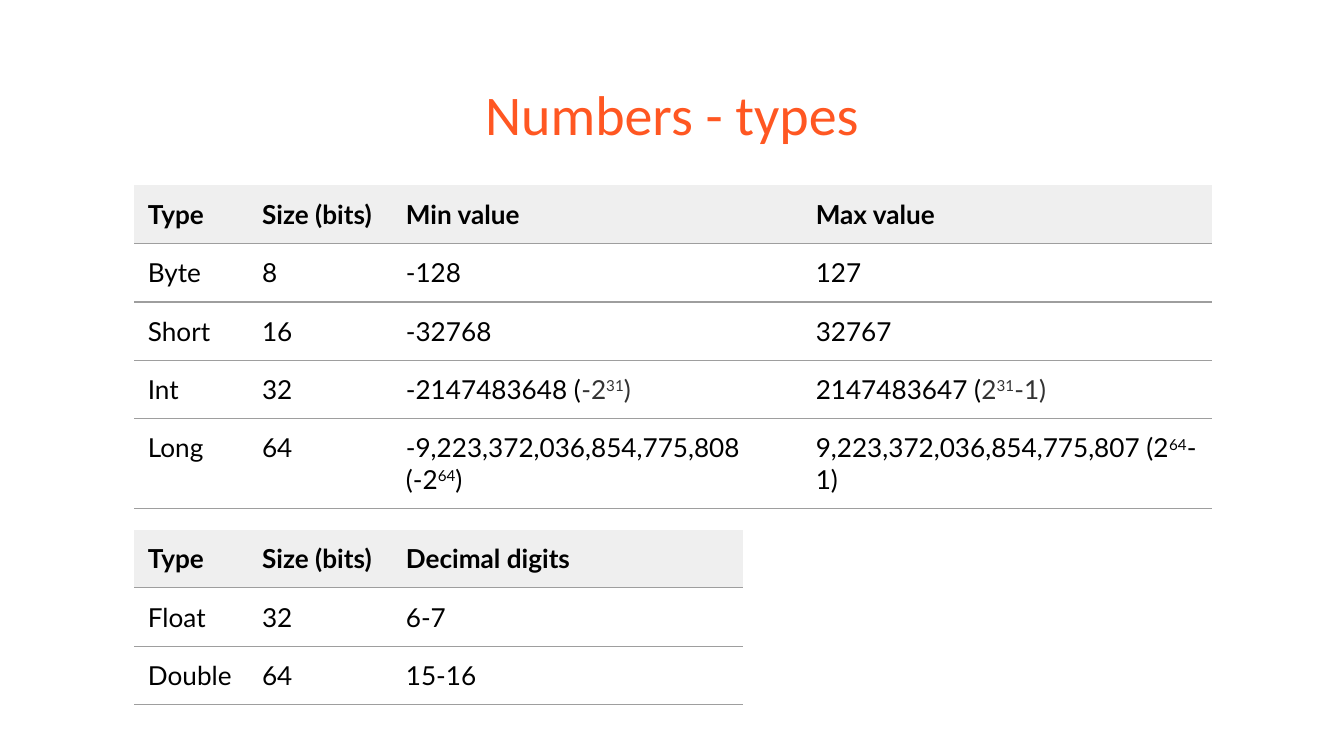
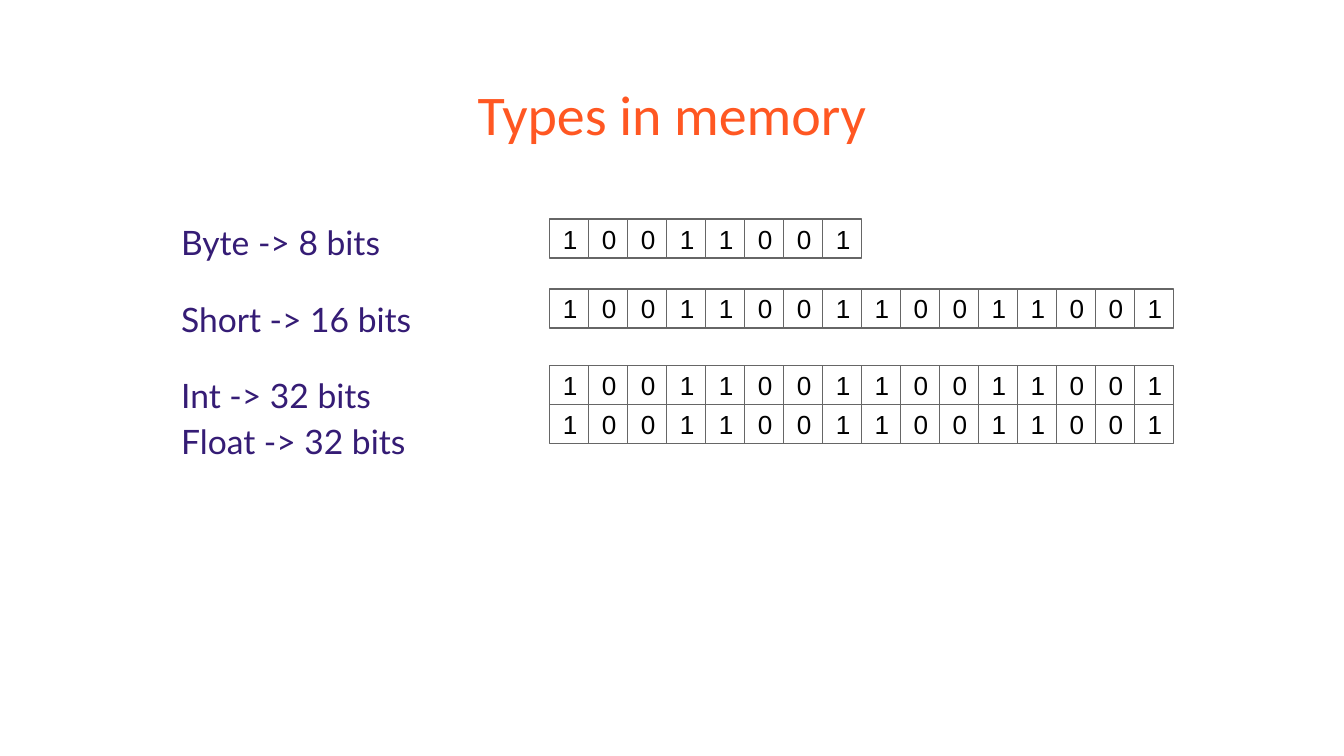
from lxml import etree
from pptx import Presentation
from pptx.dml.color import RGBColor
from pptx.enum.shapes import MSO_SHAPE
from pptx.enum.text import MSO_ANCHOR, MSO_AUTO_SIZE, PP_ALIGN
from pptx.oxml.ns import qn
from pptx.util import Inches, Pt

RECTANGLE = MSO_SHAPE.RECTANGLE
TOP, MIDDLE = MSO_ANCHOR.TOP, MSO_ANCHOR.MIDDLE
CENTER, LEFT = PP_ALIGN.CENTER, PP_ALIGN.LEFT
NO_AUTOFIT = MSO_AUTO_SIZE.NONE

ORANGE = RGBColor(0xFF, 0x57, 0x22)
PURPLE = RGBColor(0x35, 0x1C, 0x75)
BLACK = RGBColor(0, 0, 0)
DARK_GRAY = RGBColor(0x33, 0x33, 0x33)
CELL_LINE = RGBColor(0x66, 0x66, 0x66)
RULE = RGBColor(0x9E, 0x9E, 0x9E)
HEADER_FILL = RGBColor(0xEF, 0xEF, 0xEF)
PLAIN_TABLE_STYLE = "{2D5ABB26-0587-4C30-8999-92F81FD0307C}"

# Content: a power of two is (before, base, exponent, after, colour of the power)
INTEGER_TYPES = [
    ("Type", "Size (bits)", "Min value", "Max value"),
    ("Byte", "8", "-128", "127"),
    ("Short", "16", "-32768", "32767"),
    ("Int", "32",
     ("-2147483648 (", "-2", "31", ")", DARK_GRAY),
     ("2147483647 (", "2", "31", "-1)", DARK_GRAY)),
    ("Long", "64",
     ("-9,223,372,036,854,775,808 (", "-2", "64", ")", BLACK),
     ("9,223,372,036,854,775,807 (", "2", "64", "-1)", BLACK)),
]
DECIMAL_TYPES = [
    ("Type", "Size (bits)", "Decimal digits"),
    ("Float", "32", "6-7"),
    ("Double", "64", "15-16"),
]
# Top, row height, column widths, rows
TYPE_TABLES = [
    (1.38, 0.42, (0.85, 1.07, 3.05, 3.05), INTEGER_TYPES),
    (3.94, 0.43, (0.85, 1.07, 2.61), DECIMAL_TYPES),
]
TABLE_LEFT = 1

MEMORY_LINES = ["Byte -> 8 bits", "Short -> 16 bits",
                "Int -> 32 bits\vFloat -> 32 bits"]
BYTE_BITS = "10011001"
BIT_ROWS = [(1.63, BYTE_BITS), (2.15, BYTE_BITS * 2),
            (2.72, BYTE_BITS * 2), (3.01, BYTE_BITS * 2)]
BITS_LEFT, BIT_SIZE = 4.09, 0.29


def set_font(font, name, size, color, bold=False):
    font.name, font.size, font.bold = name, Pt(size), bold
    font.color.rgb = color


def set_frame(frame, anchor=TOP):
    frame.word_wrap = True
    frame.auto_size = NO_AUTOFIT
    frame.vertical_anchor = anchor
    frame.margin_left = frame.margin_right = Inches(0.1)
    frame.margin_top = frame.margin_bottom = Inches(0.1)


def add_titled_slide(deck, text):
    slide = deck.slides.add_slide(deck.slide_layouts[5])
    title = slide.shapes.title
    title.left, title.top = Inches(0.34), Inches(0.49)
    title.width, title.height = Inches(9.32), Inches(0.63)
    title.text_frame.text = text
    set_frame(title.text_frame)
    paragraph = title.text_frame.paragraphs[0]
    paragraph.alignment = CENTER
    set_font(paragraph.runs[0].font, "Calibri", 30, ORANGE)
    return slide


def add_bottom_rule(cell):
    properties = cell._tc.get_or_add_tcPr()
    line = etree.Element(qn("a:lnB"), w=str(Pt(0.75)))
    fill = etree.SubElement(line, qn("a:solidFill"))
    etree.SubElement(fill, qn("a:srgbClr"), val=str(RULE))
    properties.insert(0, line)


def fill_cell(cell, content, is_header):
    if is_header:
        cell.fill.solid()
        cell.fill.fore_color.rgb = HEADER_FILL
    else:
        cell.fill.background()
    cell.margin_left = cell.margin_right = Inches(0.1)
    cell.margin_top = cell.margin_bottom = Inches(0.1)
    add_bottom_rule(cell)

    paragraph = cell.text_frame.paragraphs[0]
    if isinstance(content, str):
        paragraph.text = content
        set_font(paragraph.runs[0].font, "Lato", 14, BLACK, is_header)
        return
    *parts, power_color = content
    for index, part in enumerate(parts):
        run = paragraph.add_run()
        run.text = part
        set_font(run.font, "Lato", 14, power_color if index else BLACK)
        if index == 2:
            run.font._element.set("baseline", "30000")


def add_type_table(slide, top, row_height, widths, rows):
    table = slide.shapes.add_table(
        len(rows), len(widths), Inches(TABLE_LEFT), Inches(top),
        Inches(sum(widths)), Inches(row_height * len(rows))).table
    table.horz_banding = False
    table._tbl.tblPr.find(qn("a:tableStyleId")).text = PLAIN_TABLE_STYLE
    for column, width in zip(table.columns, widths):
        column.width = Inches(width)
    for r, row in enumerate(rows):
        table.rows[r].height = Inches(row_height)
        for c, content in enumerate(row):
            fill_cell(table.cell(r, c), content, r == 0)


def add_memory_lines(slide):
    frame = slide.shapes.add_textbox(
        Inches(1.25), Inches(1.51), Inches(8), Inches(3.74)).text_frame
    set_frame(frame)
    for index, line in enumerate(MEMORY_LINES):
        paragraph = frame.add_paragraph() if index else frame.paragraphs[0]
        paragraph.text = line
        paragraph.line_spacing = 1.15
        paragraph.space_before = Pt(16 if index else 0)
        for run in paragraph.runs:
            set_font(run.font, "Lato", 18, PURPLE)


def add_bit(slide, left, top, digit):
    bit = slide.shapes.add_shape(RECTANGLE, Inches(left), Inches(top),
                                 Inches(BIT_SIZE), Inches(BIT_SIZE))
    bit.shadow.inherit = False
    bit.fill.background()
    bit.line.color.rgb = CELL_LINE
    bit.line.width = Pt(0.75)
    bit.text_frame.text = digit
    set_frame(bit.text_frame, MIDDLE)
    paragraph = bit.text_frame.paragraphs[0]
    paragraph.alignment = LEFT
    set_font(paragraph.runs[0].font, "Arial", 14, BLACK)


def main():
    deck = Presentation()
    deck.slide_width = Inches(10)
    deck.slide_height = Inches(10 * 9 / 16)

    # Tables of number types
    types_slide = add_titled_slide(deck, "Numbers - types")
    for top, row_height, widths, rows in TYPE_TABLES:
        add_type_table(types_slide, top, row_height, widths, rows)

    # Bits that each type takes
    memory_slide = add_titled_slide(deck, "Types in memory")
    add_memory_lines(memory_slide)
    for top, bits in BIT_ROWS:
        for index, digit in enumerate(bits):
            add_bit(memory_slide, BITS_LEFT + index * BIT_SIZE, top, digit)

    deck.save("out.pptx")


if __name__ == "__main__":
    main()
